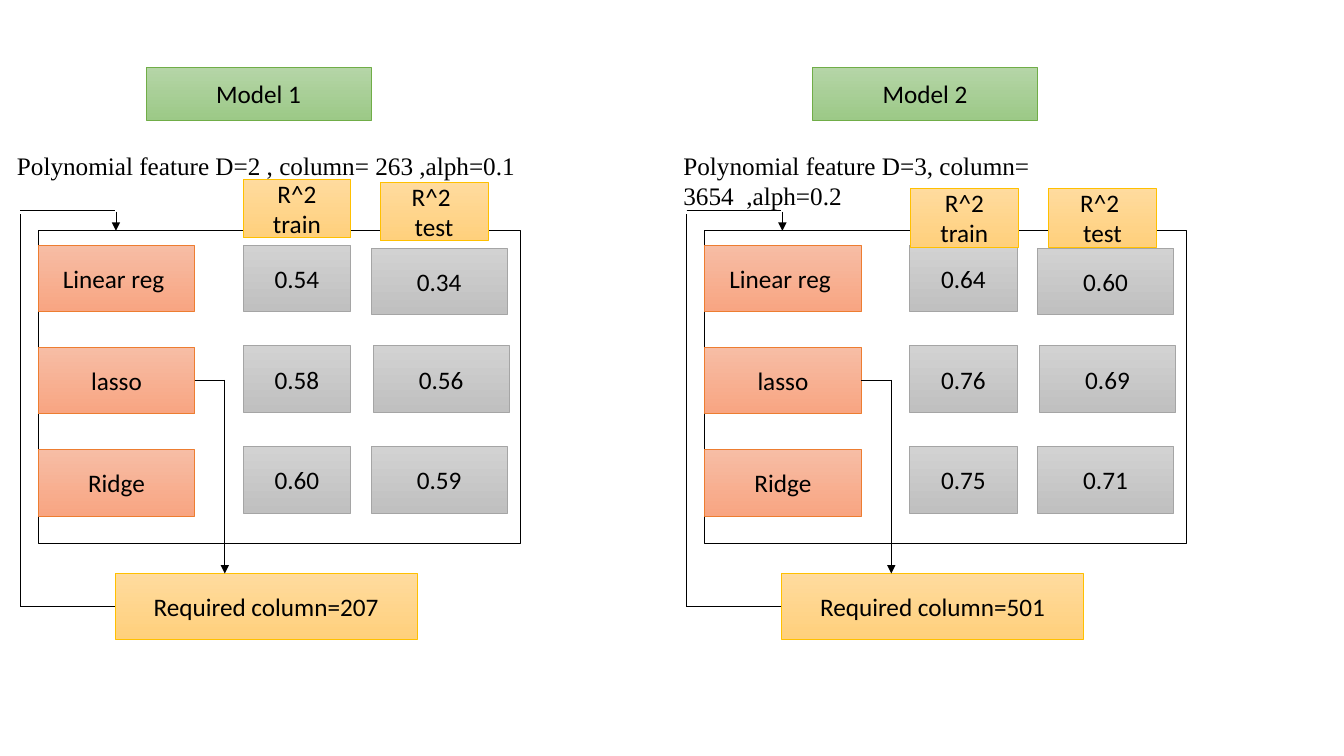
from lxml.etree import SubElement
from pptx import Presentation
from pptx.dml.color import RGBColor
from pptx.enum.shapes import MSO_CONNECTOR, MSO_SHAPE
from pptx.enum.text import MSO_ANCHOR, PP_ALIGN
from pptx.oxml.ns import qn
from pptx.util import Inches, Pt

GREEN = ("B5D5A7", "9CC987", "70AD47")
ORANGE = ("F7BDA5", "F8A582", "ED7D31")
GRAY = ("D2D2D2", "C0C0C0", "A5A5A5")
GOLD = ("FFDB9E", "FFD07C", "FFC000")
BLACK = "000000"
METHODS = ["Linear reg ", "lasso", "Ridge"]
TESTS = [(3.3, 0.17), (3.32, 1.14), (3.3, 2.14)]
WIRES = [
    (0.76, 3.73, -0.18, 3.73, False),
    (-0.18, 3.73, -0.18, -0.17, False),
    (-0.18, -0.2, 0.76, -0.2, False),
    (0.77, -0.19, 0.77, 0, True),
    (1.55, 1.48, 1.85, 1.48, False),
    (1.85, 1.48, 1.85, 3.4, True),
]


def color(code):
    return RGBColor.from_string(code)


def style(frame, font, align):
    for para in frame.paragraphs:
        para.alignment = align
        para.font.name = font
        para.font.size = Pt(18)
        para.font.color.rgb = color(BLACK)


def rect(slide, x, y, w, h):
    shape = slide.shapes.add_shape(
        MSO_SHAPE.RECTANGLE, Inches(x), Inches(y), Inches(w), Inches(h))
    shape.shadow.inherit = False
    return shape


def border(slide, x, y, w, h):
    shape = rect(slide, x, y, w, h)
    shape.fill.background()
    shape.line.color.rgb = color(BLACK)
    shape.line.width = Pt(0.75)


def block(slide, x, y, w, h, text, paint):
    shape = rect(slide, x, y, w, h)
    light, dark, edge = paint
    shape.fill.gradient()
    shape.fill.gradient_angle = 270
    for stop, code in zip(shape.fill.gradient_stops, (light, dark)):
        stop.color.rgb = color(code)
    shape.line.color.rgb = color(edge)
    shape.line.width = Pt(0.5)
    frame = shape.text_frame
    frame.word_wrap = True
    frame.vertical_anchor = MSO_ANCHOR.MIDDLE
    frame.text = text
    style(frame, "Calibri", PP_ALIGN.CENTER)


def label(slide, x, y, w, h, text):
    frame = slide.shapes.add_textbox(
        Inches(x), Inches(y), Inches(w), Inches(h)).text_frame
    frame.word_wrap = False
    frame.text = text
    style(frame, "Times New Roman", PP_ALIGN.LEFT)


def wire(slide, x1, y1, x2, y2, arrow):
    line = slide.shapes.add_connector(
        MSO_CONNECTOR.STRAIGHT, Inches(x1), Inches(y1), Inches(x2), Inches(y2))
    line.line.color.rgb = color(BLACK)
    line.line.width = Pt(0.5)
    props = line.element.spPr
    if arrow:
        SubElement(props.find(qn("a:ln")), qn("a:tailEnd"), type="triangle")
    SubElement(props, qn("a:effectLst"))


def panel(slide, box, title, note, train, test, need, heads):
    x, y, w, h = box
    border(slide, x, y, w, h)
    for i, name in enumerate(METHODS):
        block(slide, x, y + 0.14 + 1.015 * i, 1.55, 0.66, name, ORANGE)
        block(slide, x + 2.03, y + 0.14 + i, 1.07, 0.66, train[i], GRAY)
        dx, dy = TESTS[i]
        block(slide, x + dx, y + dy, 1.35, 0.66, test[i], GRAY)
    block(slide, x + 1.07, y - 1.62, 2.23, 0.52, title, GREEN)
    label(slide, x - 0.31, y - 0.85, 5.2, 0.4, note)
    block(slide, x + 0.76, y + 3.4, 3, 0.65, need, GOLD)
    for x1, y1, x2, y2, arrow in WIRES:
        wire(slide, x + x1, y + y1, x + x2, y + y2, arrow)
    for text, (dx, dy) in zip(("R^2 train", "R^2 \ntest"), heads):
        block(slide, x + dx, y + dy, 1.07, 0.58, text, GOLD)


def main():
    deck = Presentation()
    deck.slide_width = Inches(13.33)
    deck.slide_height = Inches(7.5)
    slide = deck.slides.add_slide(deck.slide_layouts[6])
    panel(slide, (0.38, 2.29, 4.78, 3.1), "Model 1",
          "Polynomial feature D=2 , column= 263 ,alph=0.1",
          ["0.54", "0.58", "0.60"], ["0.34", "0.56", "0.59"],
          "Required column=207", [(2.03, -0.51), (3.39, -0.48)])
    panel(slide, (6.99, 2.29, 4.78, 3.1), "Model 2",
          "Polynomial feature D=3, column= 3654  ,alph=0.2",
          ["0.64", "0.76", "0.75"], ["0.60", "0.69", "0.71"],
          "Required column=501", [(2.04, -0.42), (3.41, -0.42)])
    deck.save("out.pptx")


if __name__ == "__main__":
    main()
